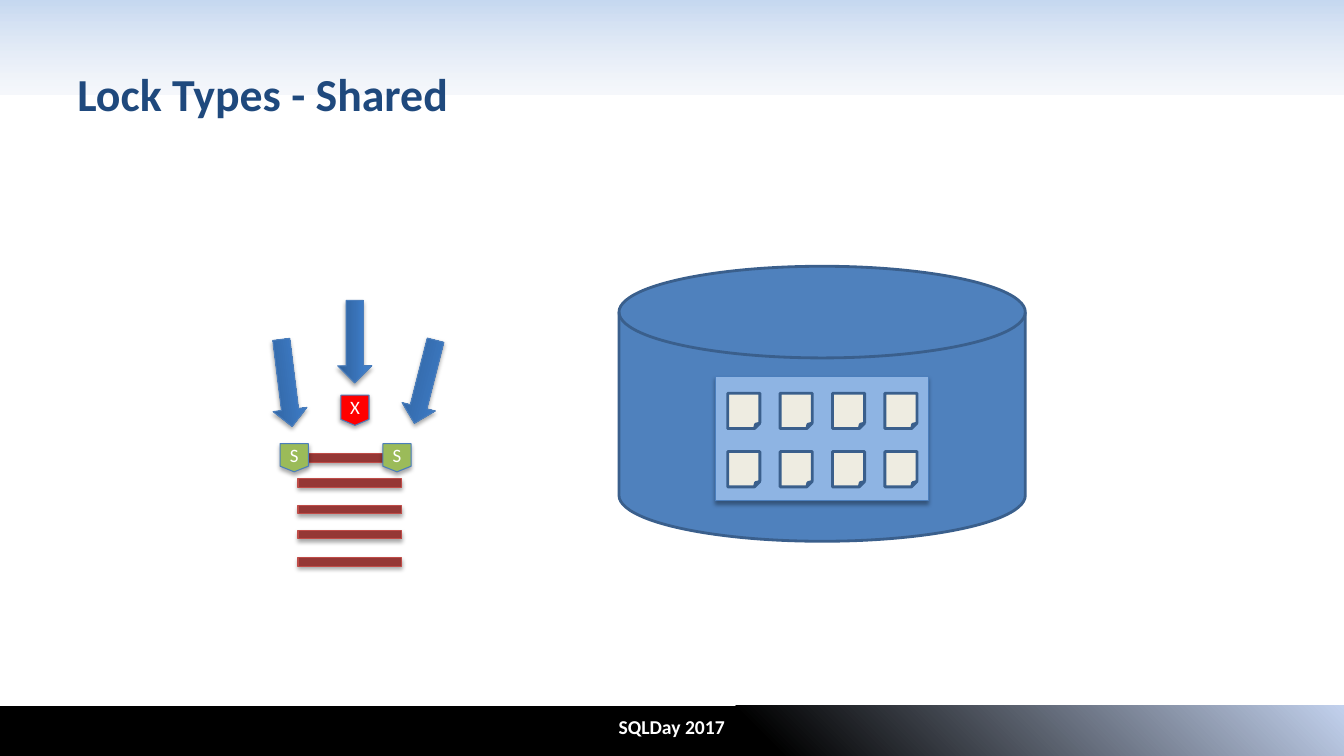
from dataclasses import dataclass

from lxml import etree
from pptx import Presentation
from pptx import util as u
from pptx.dml.color import RGBColor
from pptx.enum import shapes, text
from pptx.oxml import ns


@dataclass(frozen=True)
class Theme:
    font: str = "Calibri"
    title_size: float = 32.7
    footer_size: float = 14
    badge_size: float = 13.5
    navy: str = "1F497D"
    white: str = "FFFFFF"
    disk: str = "4F81BD"
    dark_edge: str = "3A5F8C"
    edge: str = "4B7EBC"
    panel: str = "8EB4E3"
    sheet: str = "EEECE1"
    row: str = "953735"
    row_edge: str = "BF4C48"
    shared: str = "9BBB59"
    exclusive: str = "FF0000"
    # Gradient stops: position, colour, opacity (all but colour in percent)
    header: tuple = ((0, "C6D9F1", 100), (100, "E1E8F5", 29))
    footer: tuple = ((56, "000000", 100), (100, "C2D1ED", 100))
    arrow: tuple = ((0, "2F5F99", 100), (80, "3D7CC7", 100), (100, "3A7CCB", 100))


THEME = Theme()
KIND = shapes.MSO_SHAPE


def child(parent, tag, **attributes):
    return etree.SubElement(parent, ns.qn(tag), {k: str(v) for k, v in attributes.items()})


def add_colour(parent, colour, opacity):
    node = child(parent, "a:srgbClr", val=colour)
    if opacity < 100:
        child(node, "a:alpha", val=opacity * 1000)


def set_gradient(shape, stops, angle):
    """Fill with any number of stops; the angle runs clockwise in degrees."""
    shape.fill.gradient()
    gradient = shape._element.spPr.find(ns.qn("a:gradFill"))
    for node in list(gradient):
        gradient.remove(node)
    stop_list = child(gradient, "a:gsLst")
    for position, colour, opacity in stops:
        add_colour(child(stop_list, "a:gs", pos=position * 1000), colour, opacity)
    child(gradient, "a:lin", ang=angle * 60000, scaled=0)


def add_soft_shadow(shape):
    effects = shape._element.spPr.find(ns.qn("a:effectLst"))
    shadow = child(effects, "a:outerShdw", blurRad=u.Pt(3.1), dist=u.Pt(1.8),
                   dir=90 * 60000, rotWithShape=0)
    add_colour(shadow, "000000", 35)


def add_shape(page, kind, place, fill=None, edge=None, edge_width=0.75, shadow=False):
    """Add a preset shape; place is left, top, width, height in centimetres."""
    shape = page.shapes.add_shape(kind, *map(u.Cm, place))
    shape.shadow.inherit = False
    if fill:
        shape.fill.solid()
        shape.fill.fore_color.rgb = RGBColor.from_string(fill)
    if edge:
        shape.line.color.rgb = RGBColor.from_string(edge)
        shape.line.width = u.Pt(edge_width)
    else:
        shape.line.fill.background()
    if shadow:
        add_soft_shadow(shape)
    return shape


def write(frame, words, size, colour, bold=False, align=text.PP_ALIGN.CENTER):
    frame.vertical_anchor = text.MSO_ANCHOR.MIDDLE
    para = frame.paragraphs[0]
    para.alignment = align
    span = para.add_run()
    span.text = words
    span.font.name = THEME.font
    span.font.size = u.Pt(size)
    span.font.bold = bold
    span.font.color.rgb = RGBColor.from_string(colour)


def add_label(page, place, words, size, colour, align):
    box = page.shapes.add_textbox(*map(u.Cm, place))
    box.text_frame.word_wrap = True
    write(box.text_frame, words, size, colour, True, align)


def add_band(page, top, height, stops, angle):
    band = add_shape(page, KIND.RECTANGLE, (0, top, 33.87, height))
    set_gradient(band, stops, angle)


def add_database(page):
    add_shape(page, KIND.FLOWCHART_MAGNETIC_DISK, (15.6, 6.71, 10.24, 6.93),
              THEME.disk, THEME.dark_edge, 2)
    add_shape(page, KIND.RECTANGLE, (18.03, 9.5, 5.36, 3.12),
              THEME.panel, THEME.edge, shadow=True)
    for line in range(2):
        for column in range(4):
            place = (18.34 + 1.32 * column, 9.91 + 1.47 * line, 0.81, 0.89)
            add_shape(page, KIND.FOLDED_CORNER, place, THEME.sheet, THEME.dark_edge, 2)


def add_row(page, top):
    add_shape(page, KIND.MATH_MINUS, (7.04, top, 3.56, 0.89),
              THEME.row, THEME.row_edge, shadow=True)


def add_lock(page, letter, left, top, height, fill):
    lock = add_shape(page, KIND.FLOWCHART_OFFPAGE_CONNECTOR, (left, top, 0.71, height),
                     fill, THEME.edge, shadow=True)
    frame = lock.text_frame
    frame.margin_left = frame.margin_right = frame.margin_top = frame.margin_bottom = 0
    frame.word_wrap = False
    write(frame, letter, THEME.badge_size, THEME.white)


def add_request(page, left, top, length, rotation):
    """Add an arrow for one session asking for a lock."""
    arrow = add_shape(page, KIND.RIGHT_ARROW, (left, top, length, 0.86),
                      edge=THEME.edge, shadow=True)
    set_gradient(arrow, THEME.arrow, 270)
    arrow.rotation = rotation


def main():
    deck = Presentation()
    deck.slide_width, deck.slide_height = u.Cm(33.87), u.Cm(19.05)
    page = deck.slides.add_slide(deck.slide_layouts[6])

    add_band(page, 0, 2.39, THEME.header, 90)
    add_band(page, 17.78, 1.27, THEME.footer, 315)
    add_label(page, (9.45, 17.78, 14.96, 1.07), "SQLDay 2017",
              THEME.footer_size, THEME.white, text.PP_ALIGN.CENTER)
    add_database(page)
    add_label(page, (1.7, 0.76, 30.48, 3.18), "Lock Types - Shared",
              THEME.title_size, THEME.navy, text.PP_ALIGN.LEFT)

    for top in (11.1, 11.73, 12.4, 13.03, 13.72):
        add_row(page, top)
    for left in (7.06, 9.65):
        add_lock(page, "S", left, 11.18, 0.71, THEME.shared)
    add_lock(page, "X", 8.59, 9.96, 0.76, THEME.exclusive)
    add_request(page, 6.12, 9.22, 2.21, 82.9)
    add_request(page, 9.63, 9.19, 2.16, 104.3)
    add_request(page, 7.9, 8.18, 2.08, 90)

    deck.save("out.pptx")


if __name__ == "__main__":
    main()
